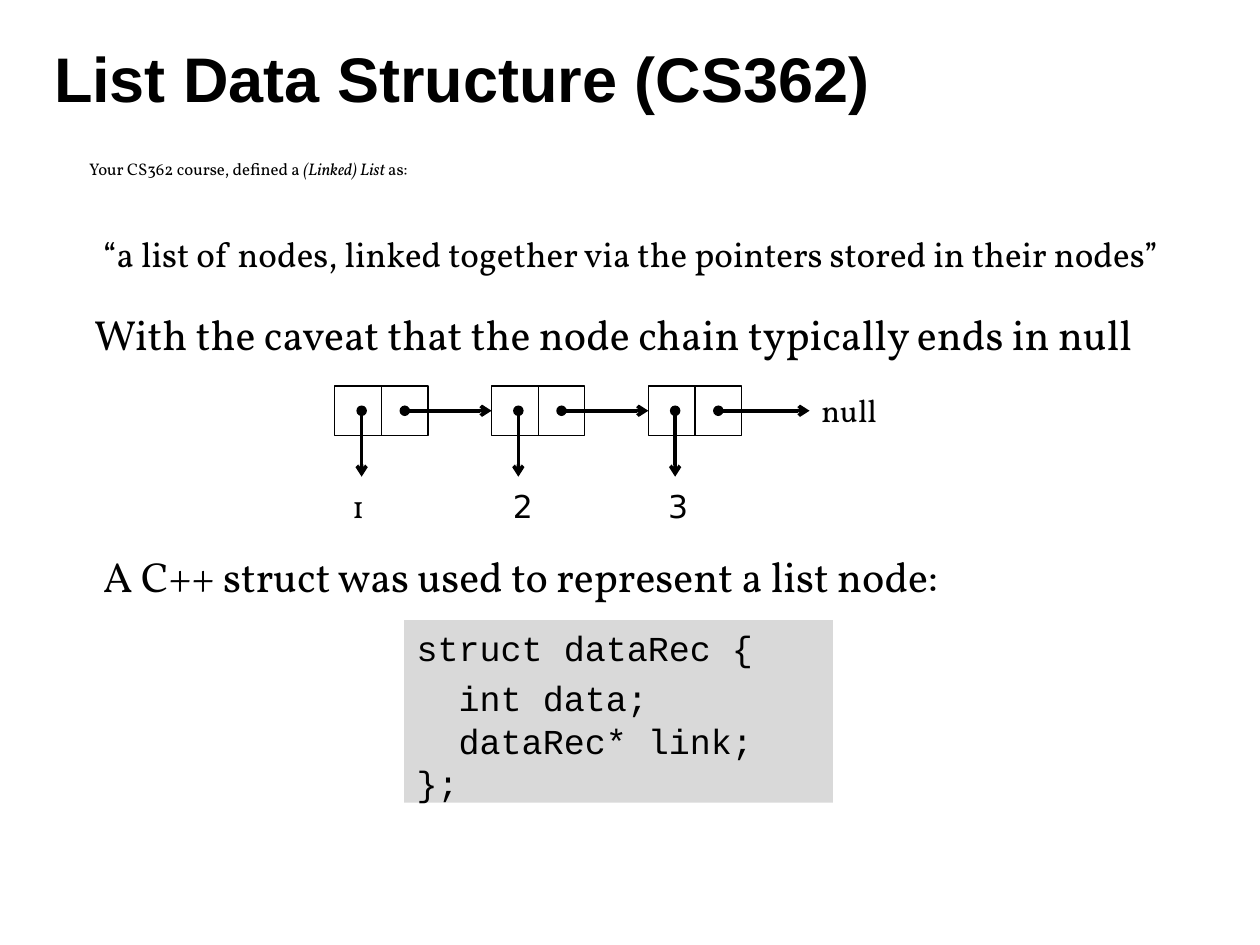
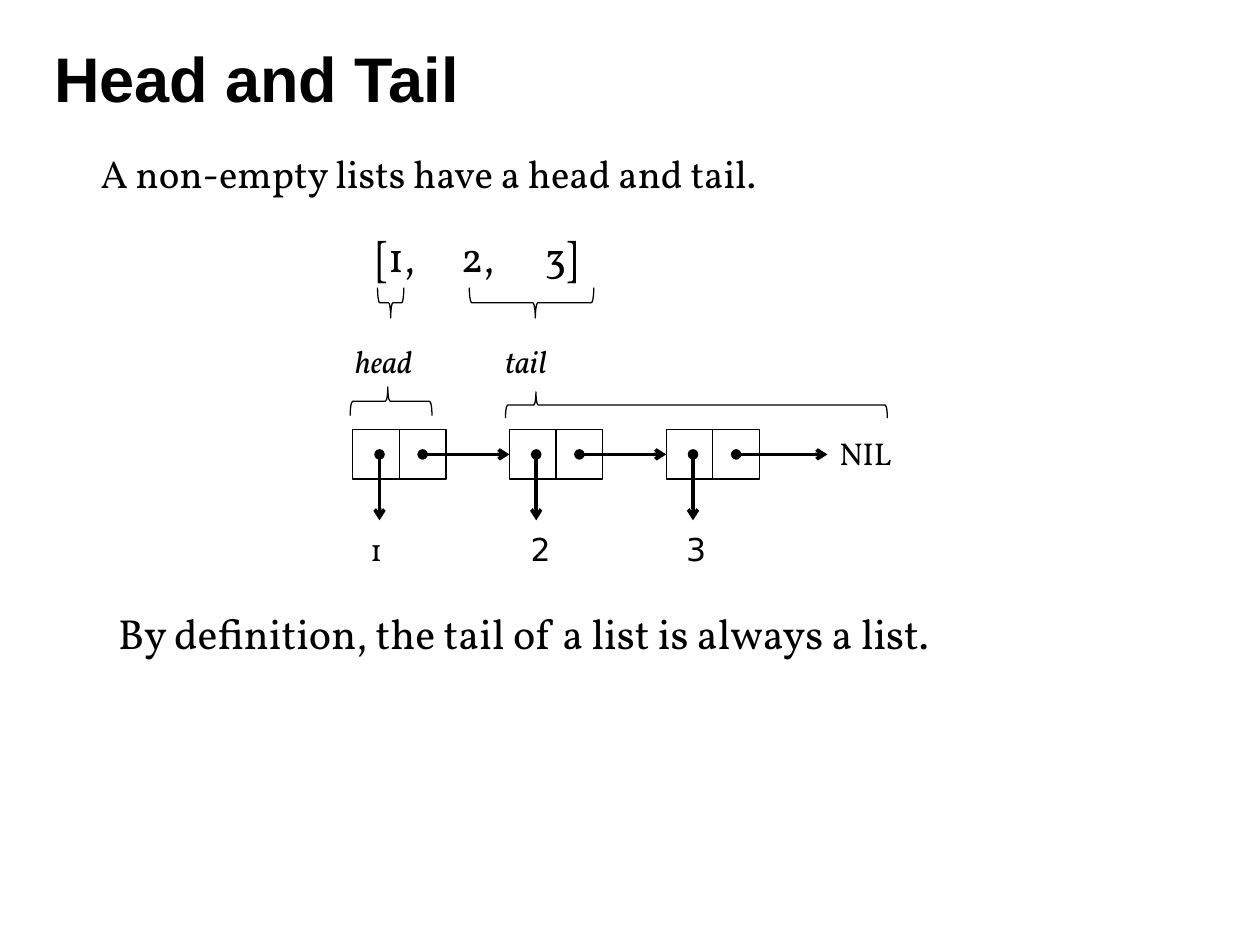
import pptx
import pptx.dml.color
import pptx.enum.shapes
import pptx.enum.text
import pptx.oxml
import pptx.oxml.ns
import pptx.util

Cm = pptx.util.Cm
Pt = pptx.util.Pt
SHAPES = pptx.enum.shapes.MSO_SHAPE
BLACK = "000000"
CODE_GRAY = "D9D9D9"
BODY_FONT = "Vollkorn"
DIGIT_FONT = "DejaVu Sans"


def color(value):
    return pptx.dml.color.RGBColor.from_string(value)


def add_element(parent, tag, **attributes):
    element = pptx.oxml.parse_xml(f"<a:{tag} {pptx.oxml.ns.nsdecls('a')}/>")
    for name, value in attributes.items():
        element.set(name, str(value))
    parent.append(element)
    return element


class SlideWriter:
    node_width, node_height, node_pitch = 1.88, 1.0, 3.16
    digits = [("1", BODY_FONT, 0.1), ("2", DIGIT_FONT, 0.18), ("3", DIGIT_FONT, 0.15)]

    def __init__(self):
        self.deck = pptx.Presentation()
        self.deck.slide_width = Cm(25.4)
        self.deck.slide_height = Cm(19.05)
        self.page = None

    def start_page(self, title):
        self.page = self.deck.slides.add_slide(self.deck.slide_layouts[6])
        box = self.text(title, 0.84, 0.38, 20.12, 2.36, size=36, font="Arial", bold=True)
        box.text_frame.vertical_anchor = pptx.enum.text.MSO_ANCHOR.MIDDLE

    def style(self, frame, size, font=BODY_FONT, bold=False, italic=False):
        for para in frame.paragraphs:
            for span in para.runs:
                span.font.size = Pt(size)
                span.font.name = font
                span.font.bold = bold
                span.font.italic = italic
                span.font.color.rgb = color(BLACK)

    def text(self, content, left, top, width, height, size=24, wrap=True, spacing=None, **look):
        box = self.page.shapes.add_textbox(Cm(left), Cm(top), Cm(width), Cm(height))
        frame = box.text_frame
        frame.word_wrap = wrap
        frame.text = content
        if spacing:
            frame.paragraphs[0].line_spacing = spacing
        self.style(frame, size, **look)
        return box

    def label(self, content, left, top, width, **look):
        return self.text(content, left, top, width, 1.02, size=18, wrap=False, **look)

    def shape(self, kind, left, top, width, height, fill=None):
        shape = self.page.shapes.add_shape(kind, Cm(left), Cm(top), Cm(width), Cm(height))
        shape.shadow.inherit = False
        if fill:
            shape.fill.solid()
            shape.fill.fore_color.rgb = color(fill)
            shape.line.fill.background()
        else:
            shape.fill.background()
            shape.line.color.rgb = color(BLACK)
            shape.line.width = Pt(0.75)
        return shape

    def line(self, x1, y1, x2, y2, weight=0.75):
        line = self.page.shapes.add_connector(
            pptx.enum.shapes.MSO_CONNECTOR.STRAIGHT, Cm(x1), Cm(y1), Cm(x2), Cm(y2))
        line.line.color.rgb = color(BLACK)
        line.line.width = Pt(weight)
        add_element(line._element.spPr, "effectLst")
        return line

    def pointer(self, x1, y1, x2, y2):
        pointer = self.line(x1, y1, x2, y2, weight=2)
        outline = pointer.line._get_or_add_ln()
        add_element(outline, "headEnd", type="oval")
        add_element(outline, "tailEnd", type="arrow")
        return pointer

    def brace(self, left, top, span, depth, rotation, tip=0.5):
        shift = (span - depth) / 2
        brace = self.shape(SHAPES.RIGHT_BRACE, left + shift, top - shift, depth, span)
        brace.rotation = rotation
        brace.adjustments[1] = tip

    def code(self, content, left, top, width, height):
        box = self.shape(SHAPES.RECTANGLE, left, top, width, height, fill=CODE_GRAY)
        frame = box.text_frame
        frame.vertical_anchor = pptx.enum.text.MSO_ANCHOR.TOP
        frame.text = content
        for para in frame.paragraphs:
            para.alignment = pptx.enum.text.PP_ALIGN.LEFT
        frame.paragraphs[1].space_before = Pt(5)
        self.style(frame, 20, font="Courier New")

    def linked_list(self, left, top, terminator, terminator_width):
        middle = top + self.node_height / 2
        incoming = None
        for index, (digit, font, offset) in enumerate(self.digits):
            x = left + index * self.node_pitch
            node = self.shape(SHAPES.RECTANGLE, x, top, self.node_width, self.node_height)
            divider = x + self.node_width / 2
            self.line(divider, top, divider, top + self.node_height)
            if incoming:
                incoming.end_connect(node, 1)
            incoming = self.pointer(x + 1.41, middle, x + 3.25, middle)
            self.pointer(x + 0.54, middle, x + 0.54, top + 1.83)
            self.label(digit, x + offset, top + 1.91, 0.86, font=font)
        self.label(terminator, left + 9.56, top - 0.03, terminator_width)


def list_structure(writer):
    writer.start_page("List Data Structure (CS362)")
    intro = writer.text("Your CS362 course, defined a ", 1.55, 3.15, 19.63, 1.12,
                        size=9.6, spacing=0.8)
    para = intro.text_frame.paragraphs[0]
    for content in ("(Linked) List ", "as:"):
        para.add_run().text = content
    writer.style(intro.text_frame, 9.6)
    para.runs[1].font.italic = True
    writer.text("“a list of nodes, linked together via the pointers stored in their nodes”",
                1.83, 4.57, 22.43, 1.19, size=20)
    writer.text("With the caveat that the node chain typically ends in null",
                1.65, 6.1, 22.07, 1.22)
    writer.linked_list(6.75, 7.78, "null", 1.7)
    writer.text("A C++ struct was used to represent a list node:", 1.83, 10.97, 21.74, 1.22)
    writer.code("struct dataRec {\n  int data;\n  dataRec* link;\n};", 8.15, 12.5, 8.64, 3.68)


def head_and_tail(writer):
    writer.start_page("Head and Tail")
    writer.text("A non-empty lists have a head and tail.", 1.78, 3.0, 21.97, 1.24,
                size=22.2, spacing=0.9)
    values = writer.text("[1,\t2,\t3]", 7.34, 4.52, 5.77, 1.3)
    properties = values.text_frame.paragraphs[0]._p.get_or_add_pPr()
    tabs = add_element(properties, "tabLst")
    for position in (1.7, 3.39):
        add_element(tabs, "tab", pos=int(Cm(position)), algn="l")
    writer.brace(7.61, 5.8, 0.53, 0.61, 90)
    writer.brace(9.46, 5.8, 2.51, 0.61, 90, tip=0.47)
    writer.label("head", 6.91, 6.78, 1.93, italic=True)
    writer.label("tail", 9.93, 6.78, 1.5, italic=True)
    writer.brace(7.06, 7.8, 1.65, 0.58, 270, tip=0.46)
    writer.brace(10.19, 7.9, 7.7, 0.53, 270, tip=0.08)
    writer.linked_list(7.11, 8.66, "NIL", 1.63)
    writer.text("By definition, the tail of a list is always a list.", 2.13, 12.12, 17.32, 1.24)


def main():
    writer = SlideWriter()
    list_structure(writer)
    head_and_tail(writer)
    writer.deck.save("out.pptx")


if __name__ == "__main__":
    main()
